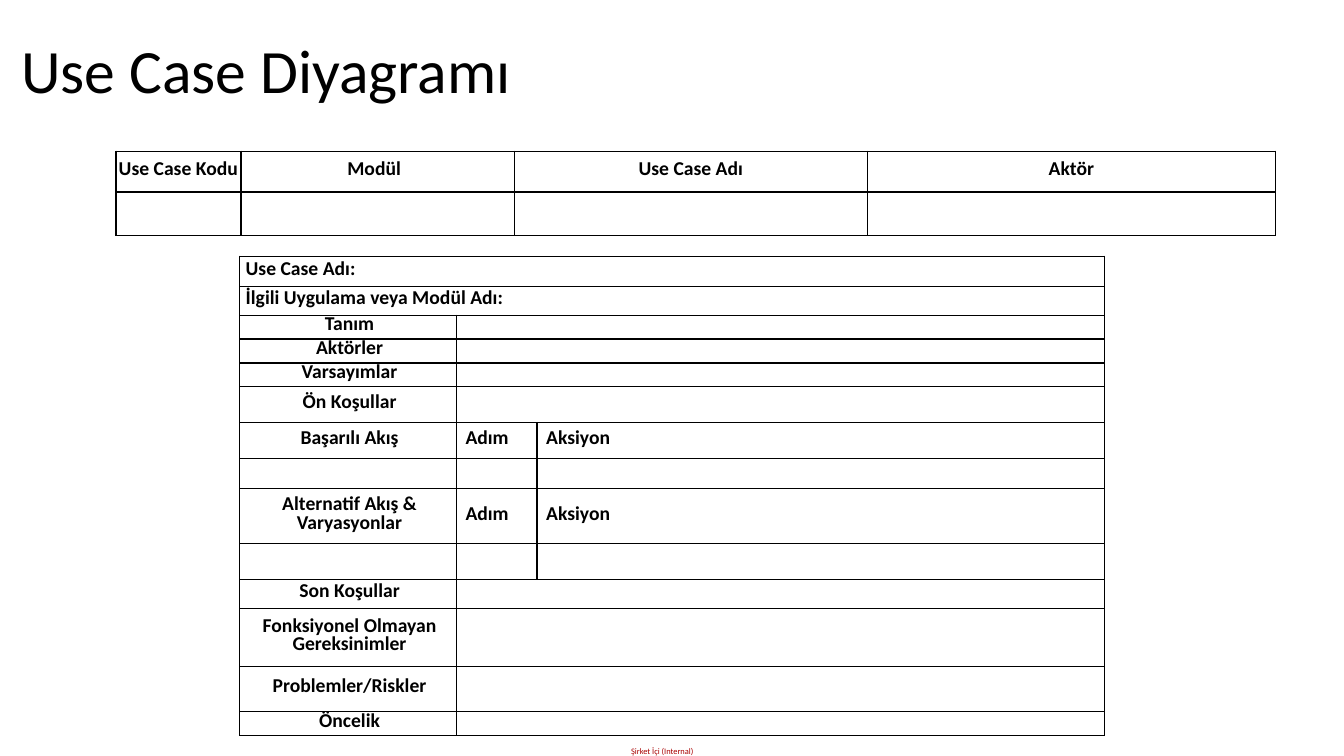
from lxml import etree
from pptx import Presentation
from pptx.dml.color import RGBColor
from pptx.enum.text import MSO_ANCHOR, MSO_AUTO_SIZE, PP_ALIGN
from pptx.oxml.ns import qn
from pptx.util import Pt

MIDDLE = MSO_ANCHOR.MIDDLE
NO_AUTOFIT = MSO_AUTO_SIZE.NONE
LEFT, CENTER = PP_ALIGN.LEFT, PP_ALIGN.CENTER

BLACK = RGBColor(0x00, 0x00, 0x00)
DARK_RED = RGBColor(0xA8, 0x00, 0x00)
FONT = "Calibri"
CELL_SIZE = 14
EMPTY_CELL_SIZE = 12
TITLE_ONLY = 5

SUMMARY_HEADS = ["Use Case Kodu", "Modül", "", "Use Case Adı", "Aktör"]
SUMMARY_WIDTHS = [89.3, 190.4, 5, 252, 291.7]
SUMMARY_HEIGHTS = [29.2, 30.8]
MODULE_COLUMN = 1

DETAIL_WIDTHS = [154.8, 57.6, 405.4]
# Row height, then the texts; a row of one text spans, as does a label row of two.
DETAIL_ROWS = [
    (21.5, ["Use Case Adı:"]),
    (20.6, ["İlgili Uygulama veya Modül Adı:"]),
    (17.1, ["Tanım", ""]),
    (17.1, ["Aktörler", ""]),
    (17.1, ["Varsayımlar", ""]),
    (25.5, ["Ön Koşullar", ""]),
    (25.8, ["Başarılı Akış", "Adım", "Aksiyon"]),
    (21.4, ["", "", ""]),
    (39.3, ["Alternatif Akış & Varyasyonlar", "Adım", "Aksiyon"]),
    (25.5, ["", "", ""]),
    (21, ["Son Koşullar", ""]),
    (41.4, ["Fonksiyonel Olmayan Gereksinimler", ""]),
    (32, ["Problemler/Riskler", ""]),
    (17.1, ["Öncelik", ""]),
]


def add_run(paragraph, text, size, color, bold=False):
    run = paragraph.add_run()
    run.text = text
    run.font.name = FONT
    run.font.size = Pt(size)
    run.font.bold = bold
    run.font.color.rgb = color


def shrink_empty_line(paragraph):
    """Keep an empty cell from stretching its row with the default 18 pt."""
    mark = etree.SubElement(paragraph._p, qn("a:endParaRPr"), sz=str(EMPTY_CELL_SIZE * 100))
    etree.SubElement(mark, qn("a:latin"), typeface=FONT)


def add_borders(cell, sides):
    """Draw 1 pt lines on the sides named by the letters L, R, T and B."""
    properties = cell._tc.get_or_add_tcPr()
    for side in "LRTB":
        line = etree.SubElement(properties, qn(f"a:ln{side}"), w=str(Pt(1)))
        if side in sides:
            fill = etree.SubElement(line, qn("a:solidFill"))
            etree.SubElement(fill, qn("a:srgbClr"), val=str(BLACK))
        else:
            etree.SubElement(line, qn("a:noFill"))


def add_plain_table(slide, left, top, widths, heights):
    table = slide.shapes.add_table(
        len(heights), len(widths), Pt(left), Pt(top), Pt(sum(widths)), Pt(sum(heights))
    ).table
    table.first_row = table.horz_banding = False
    for column, width in zip(table.columns, widths):
        column.width = Pt(width)
    for row, height in zip(table.rows, heights):
        row.height = Pt(height)
    return table


def format_cell(cell, text, align, margin_left=0, margin_right=0, sides="LRTB"):
    add_borders(cell, sides)
    cell.fill.background()
    cell.vertical_anchor = MIDDLE
    cell.margin_left, cell.margin_right = Pt(margin_left), Pt(margin_right)
    cell.margin_top = cell.margin_bottom = Pt(0)
    paragraph = cell.text_frame.paragraphs[0]
    paragraph.alignment = align
    paragraph.line_spacing = Pt(13)
    if text:
        add_run(paragraph, text, CELL_SIZE, BLACK, bold=True)
    else:
        shrink_empty_line(paragraph)


def add_summary_table(slide):
    table = add_plain_table(slide, 82.8, 108, SUMMARY_WIDTHS, SUMMARY_HEIGHTS)
    open_sides = {MODULE_COLUMN: "LTB", MODULE_COLUMN + 1: "RTB"}
    for row, texts in enumerate([SUMMARY_HEADS, [""] * len(SUMMARY_HEADS)]):
        for column, text in enumerate(texts):
            format_cell(table.cell(row, column), text, CENTER,
                        sides=open_sides.get(column, "LRTB"))


def add_detail_table(slide):
    heights = [height for height, _ in DETAIL_ROWS]
    table = add_plain_table(slide, 171.2, 183, DETAIL_WIDTHS, heights)
    last = len(DETAIL_WIDTHS) - 1
    for row, (_, texts) in enumerate(DETAIL_ROWS):
        is_heading = len(texts) == 1
        for column in range(last + 1):
            text = texts[column] if column < len(texts) else ""
            align = CENTER if column == 0 and not is_heading else LEFT
            format_cell(table.cell(row, column), text, align,
                        margin_left=4.3 if is_heading else 6.5, margin_right=4.3)
        if len(texts) <= last:
            table.cell(row, len(texts) - 1).merge(table.cell(row, last))


def set_title(slide, text):
    title = slide.shapes.title
    title.left, title.top, title.width, title.height = Pt(7.9), Pt(0), Pt(828), Pt(104.4)
    title.text_frame.auto_size = NO_AUTOFIT
    title.text_frame.vertical_anchor = MIDDLE
    paragraph = title.text_frame.paragraphs[0]
    paragraph.alignment = LEFT
    paragraph.line_spacing = 0.9
    add_run(paragraph, text, 44, BLACK)


def add_classification(slide, text):
    frame = slide.shapes.add_textbox(Pt(450), Pt(532.8), Pt(46.1), Pt(7.2)).text_frame
    frame.margin_left = frame.margin_right = frame.margin_top = frame.margin_bottom = Pt(0)
    frame.word_wrap = False
    paragraph = frame.paragraphs[0]
    paragraph.alignment = CENTER
    add_run(paragraph, text, 6, DARK_RED)


def main():
    presentation = Presentation()
    presentation.slide_width, presentation.slide_height = Pt(960), Pt(540)
    slide = presentation.slides.add_slide(presentation.slide_layouts[TITLE_ONLY])
    add_classification(slide, "Şirket İçi (Internal)")
    set_title(slide, "Use Case Diyagramı")
    add_detail_table(slide)
    add_summary_table(slide)
    presentation.save("out.pptx")


if __name__ == "__main__":
    main()
